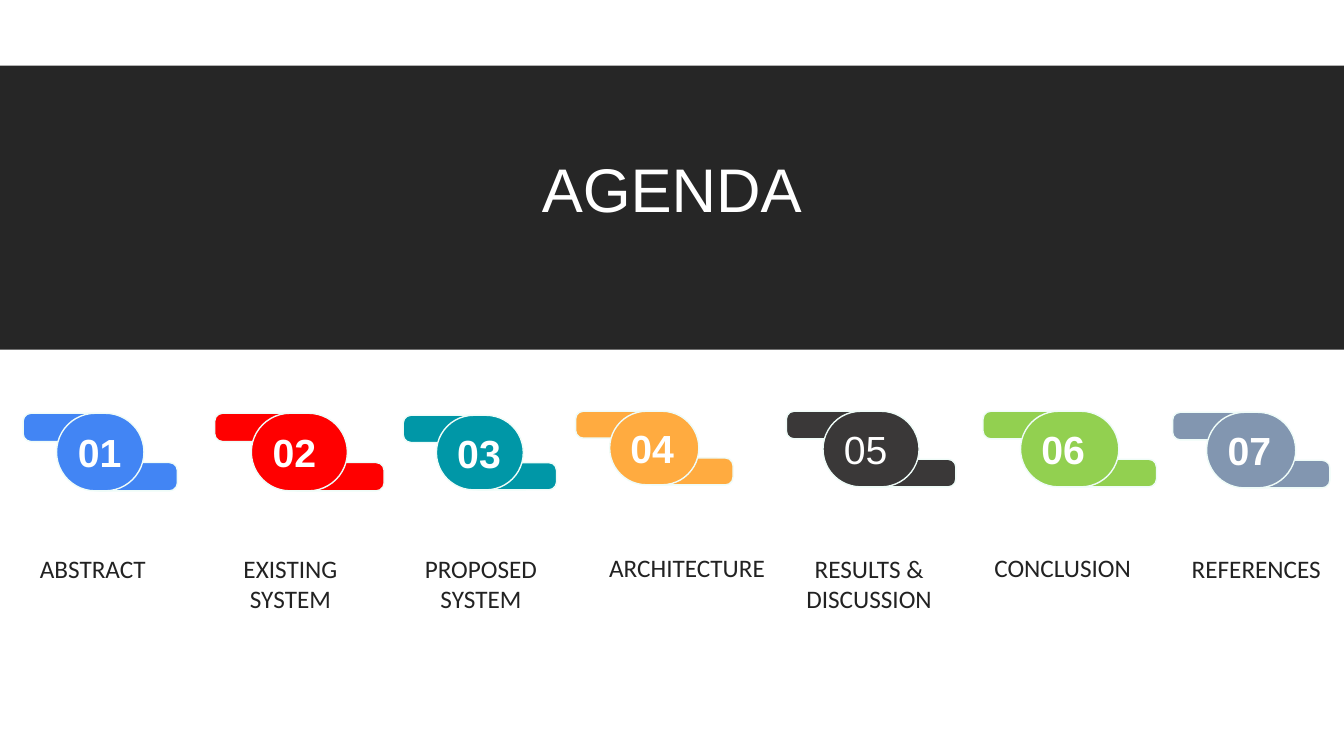
from pptx import Presentation
from pptx.dml.color import RGBColor
from pptx.enum.shapes import MSO_SHAPE
from pptx.enum.text import MSO_ANCHOR, MSO_AUTO_SIZE, PP_ALIGN
from pptx.util import Inches, Pt

COLORS = {
    "band": "262626", "white": "FFFFFF", "label": "222222", "outline": "EFFCF8",
    "blue": "4285F4", "red": "FF0000", "teal": "0097A7", "orange": "FFAB40",
    "charcoal": "3A3838", "green": "92D050", "slate": "8296B0",
}

# Colour, badge box, label, label box (left, top, width, height in inches)
AGENDA = [
    ("blue", (0.23, 4.1, 1.53, 0.77), "ABSTRACT", (0.08, 5.44, 1.68, 0.4)),
    ("red", (2.13, 4.1, 1.68, 0.77), "EXISTING SYSTEM", (2.04, 5.44, 1.68, 0.71)),
    ("teal", (4, 4.12, 1.52, 0.74), "PROPOSED SYSTEM", (3.93, 5.44, 1.68, 0.71)),
    ("orange", (5.71, 4.08, 1.56, 0.73), "ARCHITECTURE", (5.83, 5.43, 1.97, 0.4)),
    ("charcoal", (7.8, 4.08, 1.68, 0.75), "RESULTS & DISCUSSION", (7.78, 5.44, 1.68, 0.71)),
    ("green", (9.75, 4.08, 1.72, 0.75), "CONCLUSION", (9.7, 5.43, 1.68, 0.4)),
    ("slate", (11.63, 4.09, 1.56, 0.75), "REFERENCES", (11.62, 5.44, 1.68, 0.4)),
]


def color(name):
    return RGBColor.from_string(COLORS[name])


def set_font(paragraph, name, size, color_name, bold=False):
    font = paragraph.font
    font.name, font.size, font.bold = name, Pt(size), bold
    font.color.rgb = color(color_name)


def add_title_band(slide, left, top, width, height):
    title = slide.shapes.title
    title.left, title.top = Inches(left), Inches(top)
    title.width, title.height = Inches(width), Inches(height)
    title.fill.solid()
    title.fill.fore_color.rgb = color("band")
    frame = title.text_frame
    frame.text = "AGENDA"
    frame.auto_size = MSO_AUTO_SIZE.NONE
    frame.vertical_anchor = MSO_ANCHOR.MIDDLE
    frame.margin_bottom = Inches(0.44)  # lifts the title above the band's middle
    paragraph = frame.paragraphs[0]
    paragraph.alignment = PP_ALIGN.CENTER
    set_font(paragraph, "Arial", 44, "white")


def add_rounded(shapes, left, top, width, height, rounding, color_name):
    shape = shapes.add_shape(MSO_SHAPE.ROUNDED_RECTANGLE, Inches(left), Inches(top),
                             Inches(width), Inches(height))
    shape.adjustments[0] = rounding
    shape.shadow.inherit = False
    shape.fill.solid()
    shape.fill.fore_color.rgb = color(color_name)
    shape.line.color.rgb = color("outline")
    shape.line.width = Pt(1)
    return shape


def add_badge(slide, number, color_name, left, top, width, height):
    shapes = slide.shapes.add_group_shape().shapes
    tab_width, tab_height = 0.56 * width, 0.365 * height
    # Lower right tab, then upper left tab
    for tab_left, tab_top in ((left + width - tab_width, top + height - tab_height),
                              (left, top)):
        add_rounded(shapes, tab_left, tab_top, tab_width, tab_height, 0.28, color_name)
    # Numbered centre
    center = add_rounded(shapes, left + 0.216 * width, top, 0.567 * width, height,
                         0.5, color_name)
    frame = center.text_frame
    frame.vertical_anchor = MSO_ANCHOR.MIDDLE
    paragraph = frame.paragraphs[0]
    paragraph.text = f"{number:02d}"
    paragraph.alignment = PP_ALIGN.JUSTIFY
    set_font(paragraph, "Arial", 28, "white", bold=number != 5)


def add_label(slide, text, left, top, width, height):
    label = slide.shapes.add_textbox(Inches(left), Inches(top), Inches(width), Inches(height))
    frame = label.text_frame
    frame.word_wrap = True
    paragraph = frame.paragraphs[0]
    paragraph.text = text
    paragraph.alignment = PP_ALIGN.CENTER
    set_font(paragraph, "Calibri", 18, "label")


def main():
    presentation = Presentation()
    presentation.slide_width, presentation.slide_height = Inches(13.33), Inches(7.5)
    slide = presentation.slides.add_slide(presentation.slide_layouts[5])
    add_title_band(slide, 0, 0.65, 13.33, 2.82)
    for number, (color_name, badge_box, text, label_box) in enumerate(AGENDA, start=1):
        add_badge(slide, number, color_name, *badge_box)
        add_label(slide, text, *label_box)
    presentation.save("out.pptx")


if __name__ == "__main__":
    main()
